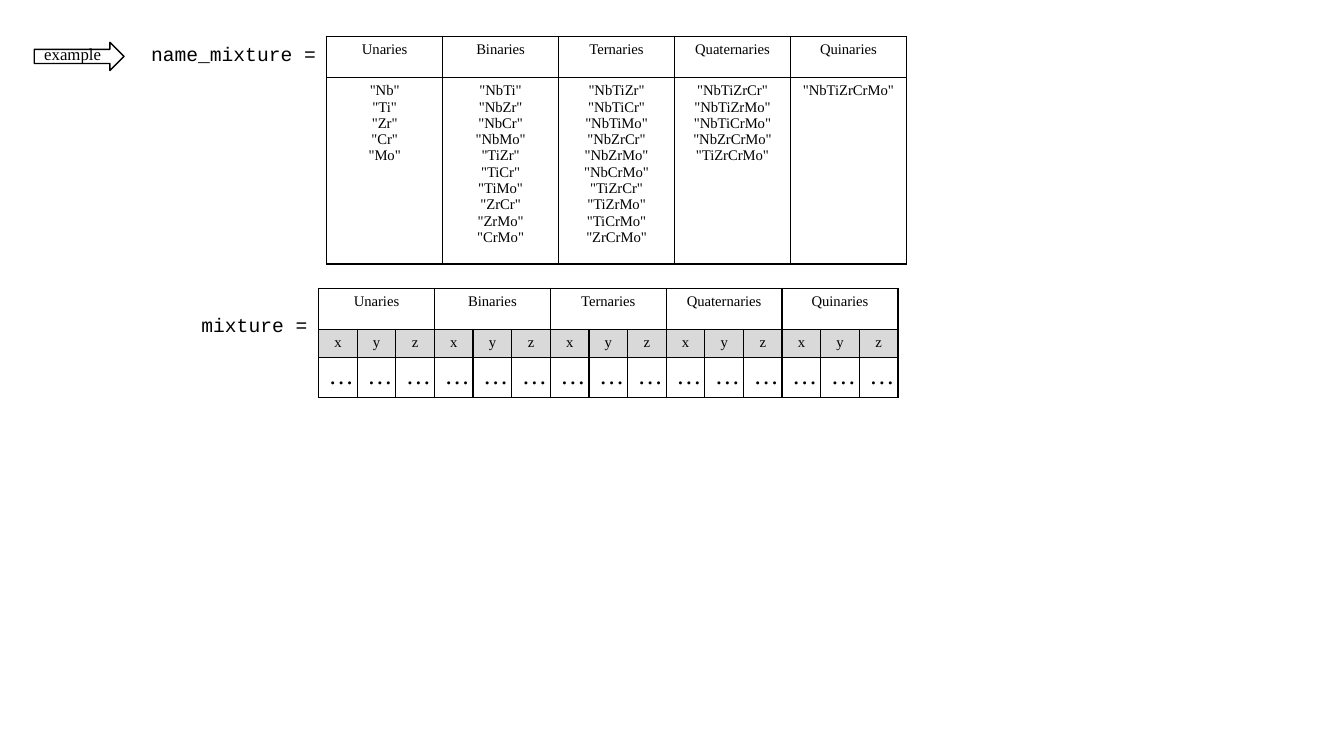
"""Build a slide listing element mixtures and the layout of their data table."""
from itertools import combinations

from lxml import etree
from pptx import Presentation
from pptx.dml.color import RGBColor
from pptx.enum import shapes, text
from pptx.oxml import ns
from pptx.util import Inches, Pt

ELEMENTS = ["Nb", "Ti", "Zr", "Cr", "Mo"]
GROUPS = ["Unaries", "Binaries", "Ternaries", "Quaternaries", "Quinaries"]
AXES = ["x", "y", "z"]
TABLE_WIDTH = 5.75


def color(value):
    return RGBColor.from_string(value)


def write(frame, content, size=10.5, font="Times New Roman", align=None):
    for index, line in enumerate(content.split("\n")):
        para = frame.paragraphs[0] if index == 0 else frame.add_paragraph()
        para.alignment = align
        span = para.add_run()
        span.text = line
        span.font.size = Pt(size)
        span.font.name = font
        span.font.color.rgb = color("000000")


deck = Presentation()
deck.slide_width, deck.slide_height = Inches(13.33), Inches(7.5)
page = deck.slides.add_slide(deck.slide_layouts[6])

arrow = page.shapes.add_shape(
    shapes.MSO_SHAPE.RIGHT_ARROW, Inches(0.34), Inches(0.42), Inches(0.89), Inches(0.28))
arrow.shadow.inherit = False
arrow.fill.solid()
arrow.fill.fore_color.rgb = color("FFFFFF")
arrow.line.color.rgb = color("000000")
arrow.line.width = Pt(1)

labels = [
    ("name_mixture =", 1.4, 0.37, 1.85, 0.34, 14, "Courier New", False),
    ("example", 0.34, 0.38, 1.09, 0.3, 12, "Times New Roman", True),
    ("mixture =", 1.9, 3.06, 1.26, 0.34, 14, "Courier New", False),
]
for label, left, top, width, height, size, font, wrap in labels:
    box = page.shapes.add_textbox(Inches(left), Inches(top), Inches(width), Inches(height))
    box.text_frame.word_wrap = wrap
    box.text_frame.auto_size = text.MSO_AUTO_SIZE.SHAPE_TO_FIT_TEXT
    write(box.text_frame, label, size=size, font=font)

names = ["\n".join(f'"{"".join(mix)}"' for mix in combinations(ELEMENTS, count))
         for count in range(1, len(ELEMENTS) + 1)]
spread_groups = [cell for group in GROUPS for cell in (group, "", "")]
columns = len(spread_groups)

tables = [
    (3.24, 0.36, [0.41, 1.85], [GROUPS, names]),
    (3.16, 2.86, [0.41, 0.27, 0.4], [spread_groups, AXES * len(GROUPS), ["…"] * columns]),
]
for left, top, heights, rows in tables:
    grid = page.shapes.add_table(len(rows), len(rows[0]), Inches(left), Inches(top),
                                 Inches(TABLE_WIDTH), Inches(sum(heights))).table
    grid.first_row = grid.horz_banding = False
    for column in grid.columns:
        column.width = Inches(TABLE_WIDTH / len(rows[0]))
    for row_index, (height, row) in enumerate(zip(heights, rows)):
        grid.rows[row_index].height = Inches(height)
        for column_index, content in enumerate(row):
            cell = grid.cell(row_index, column_index)
            if content:
                write(cell.text_frame, content, size=18 if content == "…" else 10.5,
                      align=text.PP_ALIGN.CENTER)
            properties = cell._tc.get_or_add_tcPr()
            for side in ("lnL", "lnR", "lnT", "lnB"):
                border = etree.SubElement(properties, ns.qn(f"a:{side}"), w=str(Pt(1)))
                paint = etree.SubElement(border, ns.qn("a:solidFill"))
                etree.SubElement(paint, ns.qn("a:srgbClr"), val="000000")
            if content in AXES:
                cell.fill.solid()
                cell.fill.fore_color.rgb = color("D9D9D9")
            else:
                cell.fill.background()

for start in range(0, columns, len(AXES)):
    grid.cell(0, start).merge(grid.cell(0, start + len(AXES) - 1))

deck.save("out.pptx")
